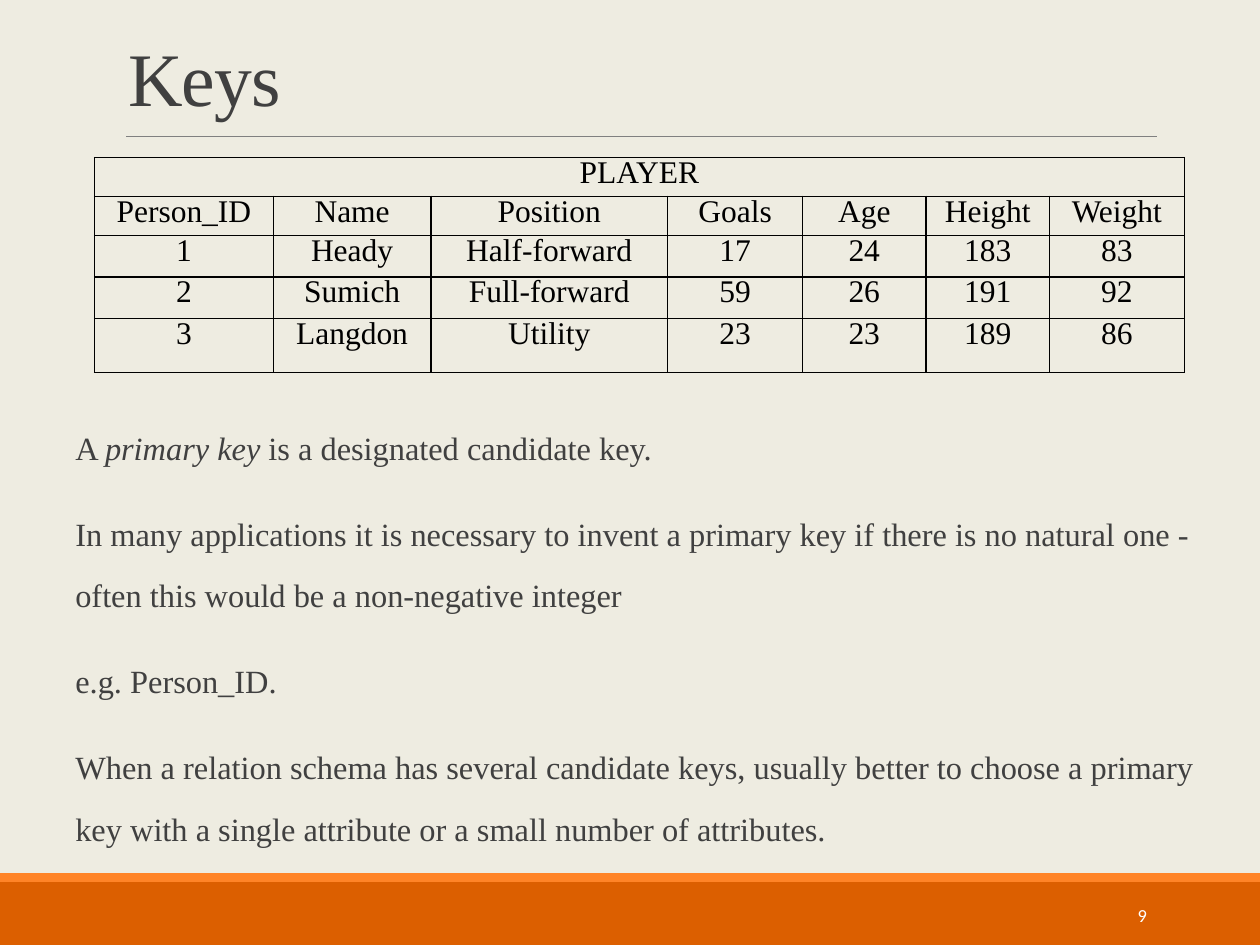
from lxml.etree import SubElement
from pptx import Presentation
from pptx.dml.color import RGBColor
from pptx.enum.shapes import MSO_CONNECTOR, MSO_SHAPE
from pptx.enum.text import MSO_ANCHOR, PP_ALIGN
from pptx.oxml import parse_xml
from pptx.oxml.ns import nsdecls, qn
from pptx.util import Inches, Pt

CREAM = RGBColor(0xEE, 0xEC, 0xE1)
ORANGE = RGBColor(0xDC, 0x5F, 0x00)
LIGHT_ORANGE = RGBColor(0xFF, 0x84, 0x27)
GRAY = RGBColor(0x80, 0x80, 0x80)
DARK = RGBColor(0x40, 0x40, 0x40)
BLACK = RGBColor(0, 0, 0)
WHITE = RGBColor(0xFF, 0xFF, 0xFF)
SERIF = "Times New Roman"

presentation = Presentation()
presentation.slide_width, presentation.slide_height = Inches(10), Inches(7.5)
slide = presentation.slides.add_slide(presentation.slide_layouts[6])
slide.background.fill.solid()
slide.background.fill.fore_color.rgb = CREAM

# The slide is a grid of 100 columns by 75 rows of square units
UNIT = presentation.slide_width / 100


def grid(*lengths):
    return [round(length * UNIT) for length in lengths]


def write(frame, paragraphs, size=18, font=SERIF, color=BLACK, align=PP_ALIGN.LEFT,
          line_spacing=1.0, before=0, after=0, tracking=None):
    """Fill a text frame; each paragraph is a list of runs, odd runs italic."""
    frame.word_wrap = True
    for index, runs in enumerate(paragraphs):
        paragraph = frame.add_paragraph() if index else frame.paragraphs[0]
        paragraph.alignment = align
        paragraph.line_spacing = line_spacing
        paragraph.space_before = Pt(before if index else 0)
        paragraph.space_after = Pt(after)
        for position, text in enumerate(runs):
            run = paragraph.add_run()
            run.text = text
            run.font.size, run.font.name = Pt(size), font
            run.font.color.rgb = color
            if position % 2:
                run.font.italic = True
            if tracking:
                run.font._element.set("spc", str(round(tracking * 100)))


# Footer bands
for top, height, color in [(70, 5, ORANGE), (69.3, 0.7, LIGHT_ORANGE)]:
    band = slide.shapes.add_shape(MSO_SHAPE.RECTANGLE, *grid(0, top, 100, height))
    band.shadow.inherit = False
    band.fill.solid()
    band.fill.fore_color.rgb = color
    band.line.fill.background()

# Rule below the title
rule = slide.shapes.add_connector(MSO_CONNECTOR.STRAIGHT, *grid(10, 10.8, 91.8, 10.8))
rule.line.color.rgb = GRAY
rule.line.width = Pt(0.5)
SubElement(rule._element.spPr, qn("a:effectLst"))

# Explanation
body = slide.shapes.add_textbox(*grid(5, 31.7, 90, 35.8)).text_frame
body.margin_left, body.margin_right = grid(1, 0)
write(body, [
    ["A ", "primary key ", "is a designated candidate key."],
    ["In many applications it is necessary to invent a primary key if there is no "
     "natural one - often this would be a non-negative integer"],
    ["e.g. Person_ID."],
    ["When a relation schema has several candidate keys, usually better to choose a "
     "primary key with a single attribute or a small number of attributes."],
], size=18.5, color=DARK, line_spacing=1.58, before=12, after=2)

# Slide number
number = slide.shapes.add_textbox(*grid(81.2, 70.6, 10.8, 4)).text_frame
number.vertical_anchor = MSO_ANCHOR.MIDDLE
write(number, [["9"]], size=10.5, font="Calibri", color=WHITE, align=PP_ALIGN.RIGHT)

# Player table
ROWS = [
    ["PLAYER"] + [""] * 6,
    ["Person_ID", "Name", "Position", "Goals", "Age", "Height", "Weight"],
    ["1", "Heady", "Half-forward", "17", "24", "183", "83"],
    ["2", "Sumich", "Full-forward", "59", "26", "191", "92"],
    ["3", "Langdon", "Utility", "23", "23", "189", "86"],
]
COLUMN_WIDTHS = grid(14.2, 12.5, 18.8, 10.7, 9.8, 9.8, 10.7)
ROW_HEIGHTS = grid(2.9, 2.9, 3.3, 3.3, 4.3)
table = slide.shapes.add_table(len(ROWS), len(COLUMN_WIDTHS),
                               *grid(7.5, 12.5, 86.7, 17.2)).table
table.first_row = table.horz_banding = False
for column, width in zip(table.columns, COLUMN_WIDTHS):
    column.width = width
for row, height in zip(table.rows, ROW_HEIGHTS):
    row.height = height
table.cell(0, 0).merge(table.cell(0, len(COLUMN_WIDTHS) - 1))
for row, texts in zip(table.rows, ROWS):
    for cell, text in zip(row.cells, texts):
        properties = cell._tc.get_or_add_tcPr()
        for side in ("lnL", "lnR", "lnT", "lnB"):
            properties.append(parse_xml(
                f'<a:{side} {nsdecls("a")} w="{Pt(1)}"><a:solidFill>'
                f'<a:srgbClr val="{BLACK}"/></a:solidFill></a:{side}>'))
        cell.fill.background()
        if text:
            write(cell.text_frame, [[text]], align=PP_ALIGN.CENTER, line_spacing=Pt(15))

# Title
title = slide.shapes.add_textbox(*grid(9.2, 2.5, 95.8 - 9.2, 7.7)).text_frame
title.vertical_anchor = MSO_ANCHOR.BOTTOM
write(title, [["Keys"]], size=43.2, color=DARK, line_spacing=0.85, tracking=-0.5)

presentation.save("out.pptx")
